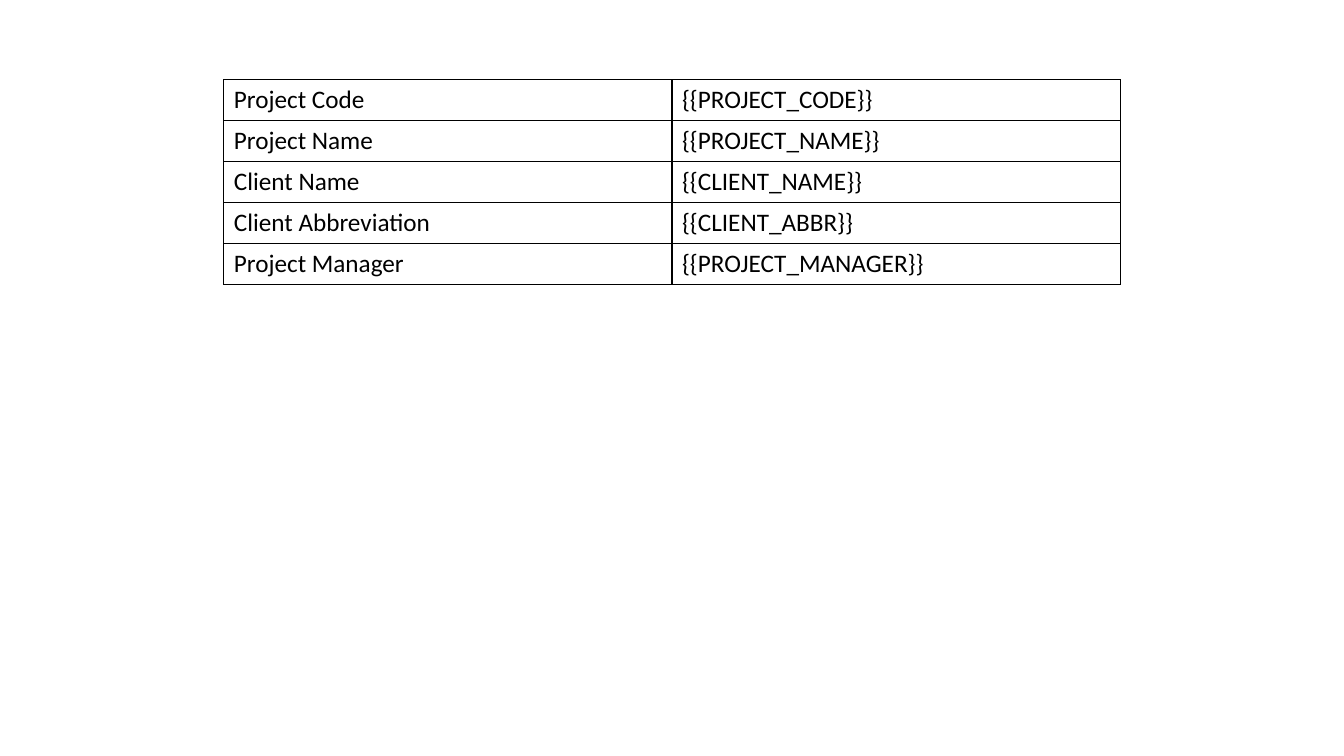
import lxml.etree
import pptx
import pptx.dml.color
import pptx.oxml.ns
import pptx.util
from pptx.util import Inches

BLACK = "000000"
PROJECT_FIELDS = [
    ("Project Code", "{{PROJECT_CODE}}"),
    ("Project Name", "{{PROJECT_NAME}}"),
    ("Client Name", "{{CLIENT_NAME}}"),
    ("Client Abbreviation", "{{CLIENT_ABBR}}"),
    ("Project Manager", "{{PROJECT_MANAGER}}"),
]


def rgb(color):
    return pptx.dml.color.RGBColor.from_string(color)


def write_text(text_frame, text, *, size=18, font="Calibri", color=BLACK):
    run = text_frame.paragraphs[0].add_run()
    run.text = text
    run.font.size = pptx.util.Pt(size)
    run.font.name = font
    run.font.color.rgb = rgb(color)


def set_borders(cell, *, color=BLACK, width=1):
    """Draw all four sides; border elements must precede the cell fill."""
    qn = pptx.oxml.ns.qn
    properties = cell._tc.get_or_add_tcPr()
    for index, side in enumerate(("lnL", "lnR", "lnT", "lnB")):
        line = lxml.etree.Element(qn(f"a:{side}"), w=str(pptx.util.Pt(width)))
        fill = lxml.etree.SubElement(line, qn("a:solidFill"))
        lxml.etree.SubElement(fill, qn("a:srgbClr"), val=color)
        properties.insert(index, line)


def add_project_table(slide, fields, left, top, width, height):
    shape = slide.shapes.add_table(len(fields), len(fields[0]), left, top, width, height)
    table = shape.table
    table.first_row = False
    table.horz_banding = False
    for row, values in zip(table.rows, fields):
        for cell, text in zip(row.cells, values):
            cell.fill.background()
            set_borders(cell)
            write_text(cell.text_frame, text)


def main():
    presentation = pptx.Presentation()
    presentation.slide_width = Inches(13.33)
    presentation.slide_height = Inches(7.5)
    slide = presentation.slides.add_slide(presentation.slide_layouts[6])
    add_project_table(slide, PROJECT_FIELDS,
                      Inches(2.22), Inches(0.79), Inches(8.89), Inches(2.03))
    presentation.save("out.pptx")


if __name__ == "__main__":
    main()
